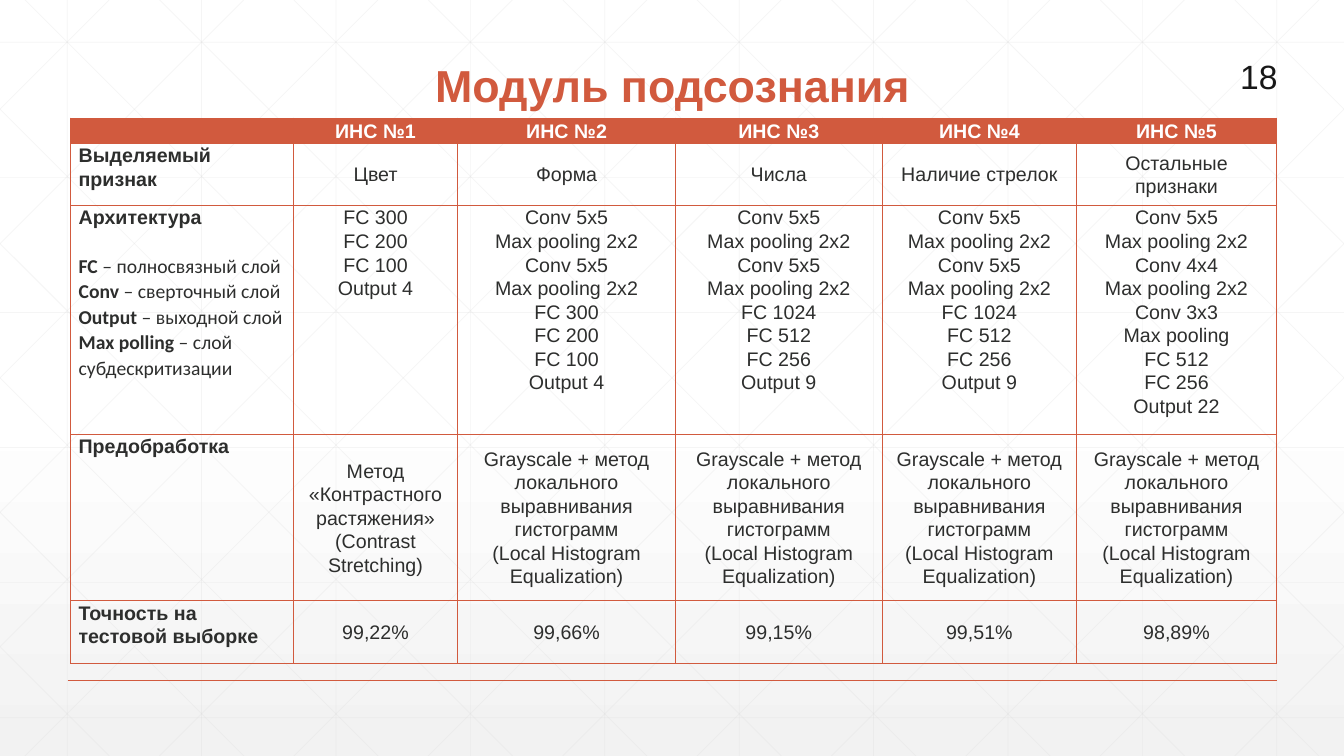
import pptx
import pptx.util
import pptx.dml.color
import pptx.enum.shapes
import pptx.enum.text
import pptx.oxml
import pptx.oxml.ns
from pptx.util import Inches, Pt

COLORS = {"accent": "D15A3E", "text": "2D2E2D", "number": "171717",
          "white": "FFFFFF", "fade": "F2F2F2", "grid": "D9D9D9"}
SLIDE_W, SLIDE_H = 13.33, 7.5
ALIGN = pptx.enum.text.PP_ALIGN
ANCHOR = pptx.enum.text.MSO_ANCHOR
qn = pptx.oxml.ns.qn

COL_WIDTHS = [2.21, 1.63, 2.16, 2.05, 1.93, 1.98]
ROW_HEIGHTS = [0.24, 0.62, 2.27, 1.65, 0.62]
LEGEND = [("FC ", "– полносвязный слой"), ("Conv", " – сверточный слой"),
          ("Output ", "– выходной слой"), ("Max polling ", "– слой субдескритизации")]
CONV_PAIR = "Conv 5x5\nMax pooling 2x2\n"
ARROW_NET = CONV_PAIR * 2 + "FC 1024\nFC 512\nFC 256\nOutput 9"
LOCAL_HIST = ("Grayscale + метод локального выравнивания гистограмм\n"
              "(Local Histogram Equalization)")
ROWS = [
    [""] + [f"ИНС №{n}" for n in range(1, 6)],
    ["Выделяемый признак", "Цвет", "Форма", "Числа", "Наличие стрелок",
     "Остальные признаки"],
    ["Архитектура", "FC 300\nFC 200\nFC 100\nOutput 4",
     CONV_PAIR * 2 + "FC 300\nFC 200\nFC 100\nOutput 4", ARROW_NET, ARROW_NET,
     CONV_PAIR + "Conv 4x4\nMax pooling 2x2\nConv 3x3\nMax pooling\n"
     "FC 512\nFC 256\nOutput 22"],
    ["Предобработка", "Метод «Контрастного растяжения»\n(Contrast Stretching)"]
    + [LOCAL_HIST] * 4,
    ["Точность на тестовой выборке", "99,22%", "99,66%", "99,15%", "99,51%", "98,89%"],
]
ARCHITECTURE_ROW = 2


def rgb(name):
    return pptx.dml.color.RGBColor.from_string(COLORS[name])


def style_run(r, size, color, bold=False, font="Arial"):
    r.font.size, r.font.bold, r.font.name = Pt(size), bold, font
    r.font.color.rgb = rgb(color)


def add_line(s, start, end, color, width, alpha=None):
    """Draw a straight line; alpha is its opacity in percent."""
    ln = s.shapes.add_connector(pptx.enum.shapes.MSO_CONNECTOR.STRAIGHT,
                                *(Inches(v) for v in (*start, *end)))
    ln.line.color.rgb = rgb(color)
    ln.line.width = Pt(width)
    if alpha is not None:
        clr = ln.element.spPr.find(".//" + qn("a:srgbClr"))
        pptx.oxml.ns  # namespace map used by qn
        clr.append(pptx.oxml.parse_xml(
            f'<a:alpha {pptx.oxml.ns.nsdecls("a")} val="{alpha * 1000}"/>'))
    ln.element.spPr.append(pptx.oxml.parse_xml(
        f'<a:effectLst {pptx.oxml.ns.nsdecls("a")}/>'))


def add_backdrop(s, w, h):
    """Fade the background to grey and cover it with a faint lattice."""
    fill = s.background.fill
    fill.gradient()
    fill.gradient_angle = 270
    for stop, color, pos in zip(fill.gradient_stops, ("white", "fade"), (0.53, 1)):
        stop.color.rgb = rgb(color)
        stop.position = pos

    step = w / 10
    lines = [((step * (i + 0.5), 0), (step * (i + 0.5), h)) for i in range(10)]
    lines += [((0, 0.42 + 1.34 * i), (w, 0.42 + 1.34 * i)) for i in range(6)]
    for i in range(-5, 10):
        x0 = 0.25 + step * i
        left, right = max(0, x0), min(w, x0 + h)
        top, bottom = left - x0, right - x0
        lines.append(((left, top), (right, bottom)))
        lines.append(((w - left, top), (w - right, bottom)))
    for start, end in lines:
        add_line(s, start, end, "grid", 0.5, alpha=25)


def add_title(s, text, x, y, w, h):
    sp = s.shapes.title
    sp.element.getparent().append(sp.element)
    sp.left, sp.top, sp.width, sp.height = (Inches(v) for v in (x, y, w, h))
    tf = sp.text_frame
    tf.text = text
    tf.vertical_anchor = ANCHOR.BOTTOM
    p = tf.paragraphs[0]
    p.alignment, p.line_spacing = ALIGN.CENTER, 0.9
    style_run(p.runs[0], 32, "accent", bold=True)


def add_page_number(s, text, x, y, w, h):
    tf = s.shapes.add_textbox(*(Inches(v) for v in (x, y, w, h))).text_frame
    tf.word_wrap = True
    tf.vertical_anchor = ANCHOR.MIDDLE
    tf.text = text
    p = tf.paragraphs[0]
    p.alignment = ALIGN.RIGHT
    style_run(p.runs[0], 24, "number")


def set_borders(cell):
    tc_pr = cell._tc.get_or_add_tcPr()
    for i, side in enumerate("LRTB"):
        tc_pr.insert(i, pptx.oxml.parse_xml(
            f'<a:ln{side} {pptx.oxml.ns.nsdecls("a")} w="6350"><a:solidFill>'
            f'<a:srgbClr val="{COLORS["accent"]}"/></a:solidFill></a:ln{side}>'))


def fill_cell(cell, text, row, col):
    header, label = row == 0, col == 0
    cell.margin_left = cell.margin_right = Inches(0.08)
    cell.margin_top = cell.margin_bottom = 0
    top = label or row == ARCHITECTURE_ROW
    cell.vertical_anchor = ANCHOR.TOP if top else ANCHOR.MIDDLE
    if header:
        cell.fill.solid()
        cell.fill.fore_color.rgb = rgb("accent")
    else:
        cell.fill.background()
    set_borders(cell)
    cell.text_frame.text = text
    for p in cell.text_frame.paragraphs:
        p.alignment = ALIGN.LEFT if label else ALIGN.CENTER
        p.line_spacing = 1.07
        for r in p.runs:
            style_run(r, 14, "white" if header else "text", bold=header or label)
        if not p.runs:
            p._p.get_or_add_endParaRPr().set("sz", "1400")


def add_legend(tf):
    """List the layer abbreviations below the row label."""
    tf.paragraphs[0].space_after = Pt(17)
    for term, meaning in LEGEND:
        p = tf.add_paragraph()
        p.line_spacing = 1.07
        for text, bold in ((term, True), (meaning, False)):
            r = p.add_run()
            r.text = text
            style_run(r, 14, "text", bold, "Calibri")


def add_networks_table(s, x, y):
    tbl = s.shapes.add_table(len(ROWS), len(COL_WIDTHS), Inches(x), Inches(y),
                             Inches(sum(COL_WIDTHS)), Inches(sum(ROW_HEIGHTS))).table
    tbl.first_row = tbl.horz_banding = False
    for column, width in zip(tbl.columns, COL_WIDTHS):
        column.width = Inches(width)
    for i, (texts, height) in enumerate(zip(ROWS, ROW_HEIGHTS)):
        tbl.rows[i].height = Inches(height)
        for j, text in enumerate(texts):
            fill_cell(tbl.cell(i, j), text, i, j)
    add_legend(tbl.cell(ARCHITECTURE_ROW, 0).text_frame)


def main():
    prs = pptx.Presentation()
    prs.slide_width, prs.slide_height = Inches(SLIDE_W), Inches(SLIDE_H)
    s = prs.slides.add_slide(prs.slide_layouts[5])
    add_backdrop(s, SLIDE_W, SLIDE_H)
    add_line(s, (0.67, 6.75), (12.67, 6.75), "accent", 1)
    add_title(s, "Модуль подсознания", 1.42, 0.55, 10.5, 0.61)
    add_page_number(s, "18", 11.77, 0.63, 1, 0.24)
    add_networks_table(s, 0.7, 1.17)
    prs.save("out.pptx")


if __name__ == "__main__":
    main()
